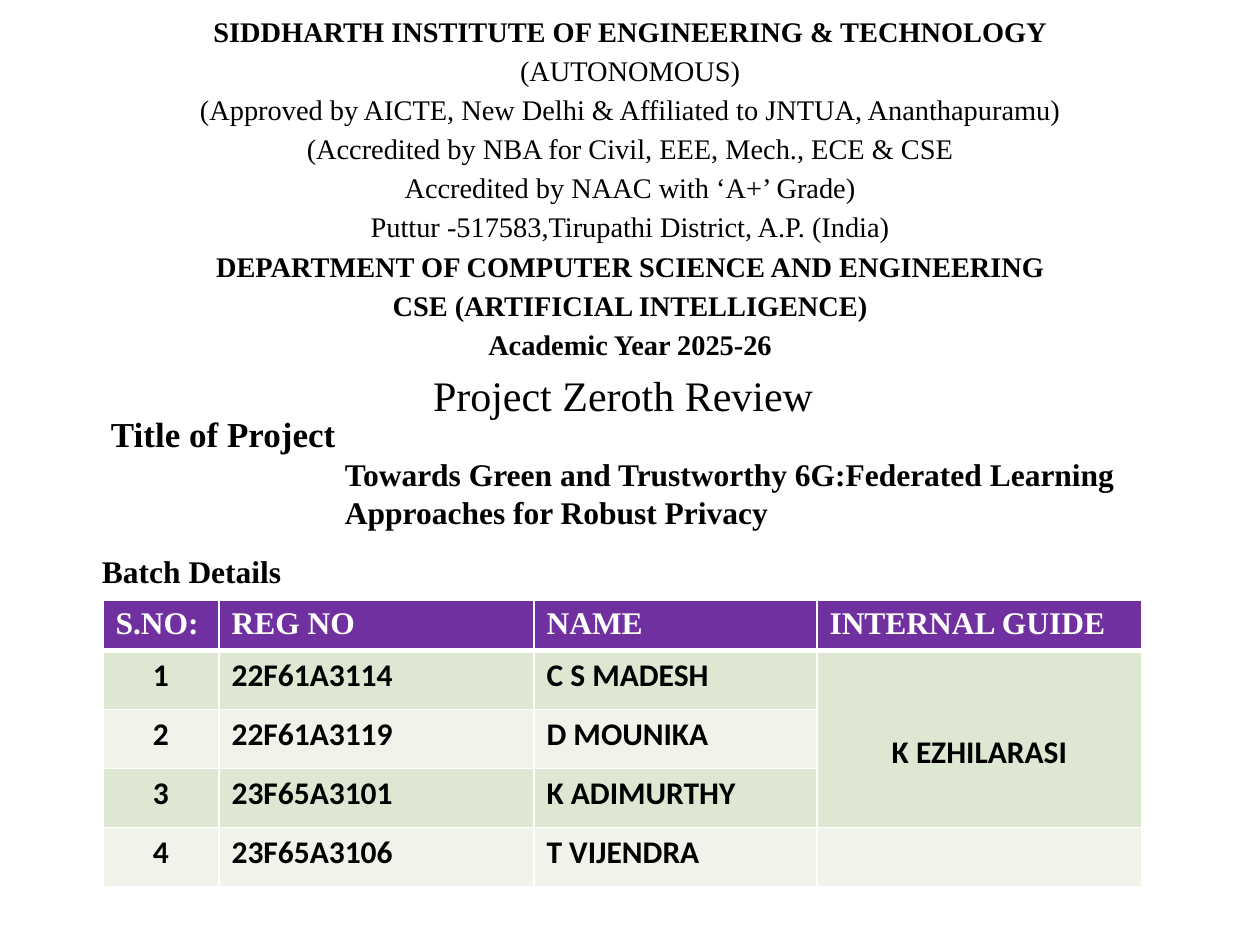
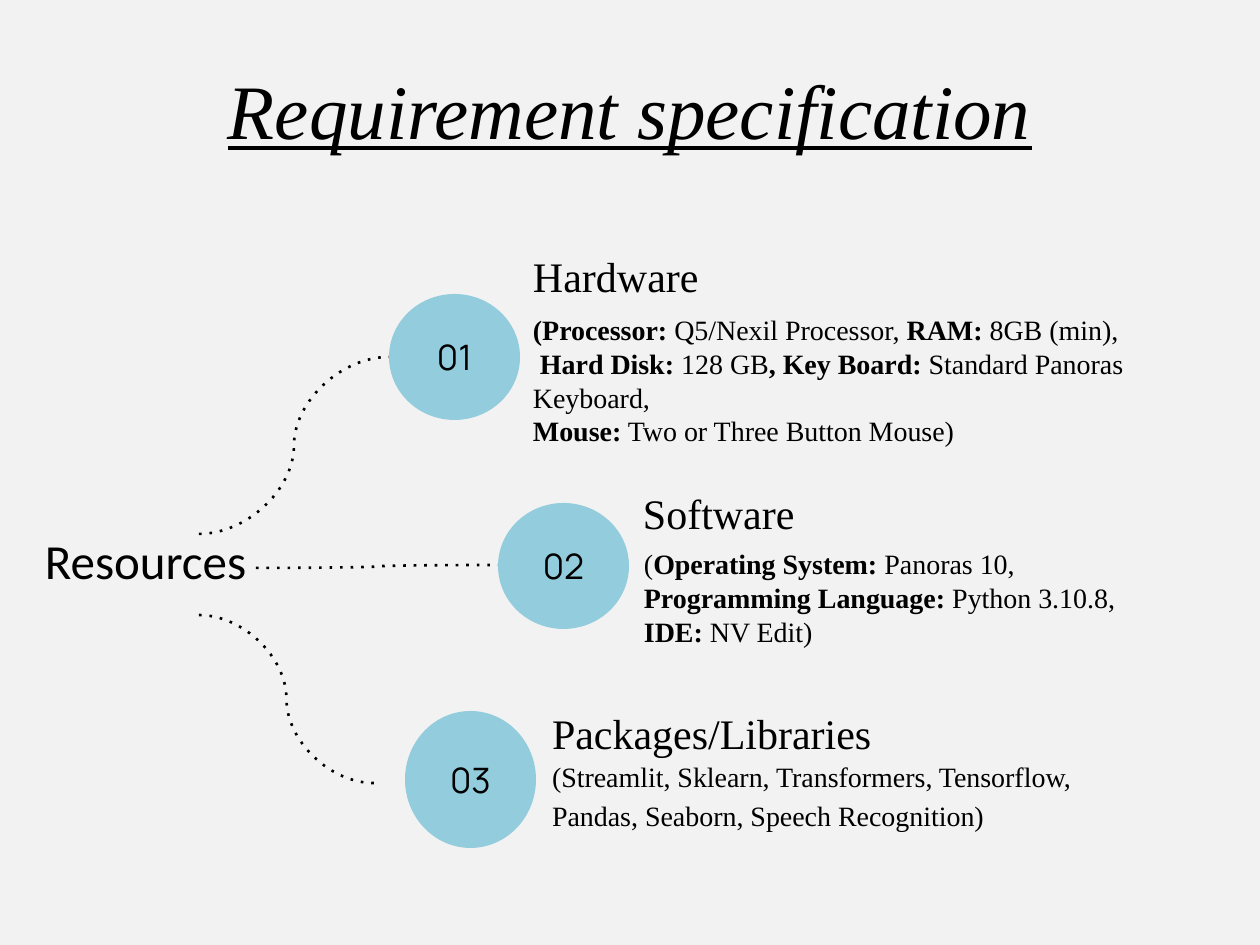
"""Builds a project review cover and its requirement specification slide."""
from lxml import etree
from pptx import Presentation
from pptx import util as u
from pptx.dml.color import RGBColor
from pptx.enum import shapes, text
from pptx.oxml.ns import qn

COLORS = {
    "ink": "000000", "paper": "FFFFFF", "mist": "F2F2F2", "purple": "7030A0",
    "sage": "DEE7D1", "pale_sage": "EFF3EA", "sky": "93CDDD",
}
SERIF, SANS, NUMERAL = "Times New Roman", "Calibri", "Manrope"
PX = u.Inches(1) / 126
INSET = 13

# Asterisks enclose bold words.
INSTITUTE = [
    "*SIDDHARTH INSTITUTE OF ENGINEERING & TECHNOLOGY*",
    "(AUTONOMOUS)",
    "(Approved by AICTE, New Delhi & Affiliated to JNTUA, Ananthapuramu)",
    "(Accredited by NBA for Civil, EEE, Mech., ECE & CSE",
    "Accredited by NAAC with ‘A+’ Grade)",
    "Puttur -517583,Tirupathi District, A.P. (India)",
    "*DEPARTMENT OF COMPUTER SCIENCE AND ENGINEERING*",
    "*CSE (ARTIFICIAL INTELLIGENCE)*",
    "*Academic Year 2025-26*",
]
REVIEW = "Project Zeroth Review"
PROJECT_LABEL = "*Title of Project*"
PROJECT = "*Towards Green and Trustworthy 6G:Federated Learning Approaches for Robust Privacy*"
BATCH_LABEL = "*Batch Details*"
BATCH = [
    ("S.NO:", "REG NO", "NAME", "INTERNAL GUIDE"),
    ("1", "22F61A3114", "C S MADESH", "K EZHILARASI"),
    ("2", "22F61A3119", "D MOUNIKA", ""),
    ("3", "23F65A3101", "K ADIMURTHY", ""),
    ("4", "23F65A3106", "T VIJENDRA", ""),
]
BATCH_COLUMNS = (116, 315, 283, 325)
BATCH_ROWS = (42, 59, 59, 59, 59)

REQUIREMENTS = [
    {"heading": "Hardware", "circle": (389, 294, 131, 126),
     "heading_at": (520, 199, 519, 115), "details_at": (520, 300, 693, 53), "spacing": None,
     "details": ["*(Processor: *Q5/Nexil Processor, *RAM:* 8GB (min),",
                 " *Hard Disk: *128 GB*, Key Board:* Standard Panoras Keyboard,",
                 "*Mouse:* Two or Three Button Mouse)"]},
    {"heading": "Software", "circle": (498, 503, 131, 126),
     "heading_at": (630, 444, 514, 107), "details_at": (631, 534, 561, 53), "spacing": None,
     "details": ["(*Operating System: *Panoras 10,",
                 "*Programming Language: *Python 3.10.8,",
                 "*IDE: *NV Edit)"]},
    {"heading": "Packages/Libraries", "circle": (405, 711, 131, 137),
     "heading_at": (539, 699, 471, 72), "details_at": (539, 742, 624, 83), "spacing": 1.15,
     "details": ["(Streamlit, Sklearn, Transformers, Tensorflow, "
                 "Pandas, Seaborn, Speech Recognition)"]},
]
BRANCHES = [(199, 534, 389, 357), (256, 568, 498, 565), (199, 615, 374, 783)]


def px(*lengths):
    return [u.Emu(round(length * PX)) for length in lengths]


def rgb(name):
    return RGBColor.from_string(COLORS[name])


def write(frame, lines, size, font=SERIF, color="ink", align=None, spacing=None):
    for index, line in enumerate(lines):
        paragraph = frame.add_paragraph() if index else frame.paragraphs[0]
        paragraph.alignment = align
        paragraph.line_spacing = spacing
        paragraph.font.size = u.Pt(size)
        paragraph.font.name = font
        paragraph.font.color.rgb = rgb(color)
        for part, words in enumerate(line.split("*")):
            if words:
                run = paragraph.add_run()
                run.text = words
                run.font.bold = part % 2 == 1


def set_insets(frame, sides, ends):
    frame.margin_left, frame.margin_right, frame.margin_top, frame.margin_bottom = px(
        sides, sides, ends, ends)


def add_text(slide, place, lines, size, ends=6, anchor=text.MSO_ANCHOR.TOP, **style):
    frame = slide.shapes.add_textbox(*px(*place)).text_frame
    frame.word_wrap = True
    frame.vertical_anchor = anchor
    set_insets(frame, INSET, ends)
    write(frame, lines, size, **style)
    return frame


def add_slide(deck, background, title_at, title_lines, size, spacing=None):
    slide = deck.slides.add_slide(deck.slide_layouts[5])
    slide.background.fill.solid()
    slide.background.fill.fore_color.rgb = rgb(background)
    title = slide.shapes.title
    title.left, title.top, title.width, title.height = px(*title_at)
    frame = title.text_frame
    frame.auto_size = text.MSO_AUTO_SIZE.NONE
    frame.vertical_anchor = text.MSO_ANCHOR.MIDDLE
    set_insets(frame, INSET, 0)
    write(frame, title_lines, size, align=text.PP_ALIGN.CENTER, spacing=spacing)
    return slide


def add_border(cell, side, points):
    properties = cell._tc.get_or_add_tcPr()
    edge = etree.Element(qn(f"a:ln{side}"), w=str(u.Pt(points)))
    fill = etree.SubElement(edge, qn("a:solidFill"))
    etree.SubElement(fill, qn("a:srgbClr"), val=COLORS["paper"])
    properties.insert("LRTB".index(side), edge)


def add_batch(slide):
    place = (103, 600, sum(BATCH_COLUMNS), sum(BATCH_ROWS))
    batch = slide.shapes.add_table(len(BATCH), len(BATCH[0]), *px(*place)).table
    for column, width in zip(batch.columns, px(*BATCH_COLUMNS)):
        column.width = width
    for row, height in zip(batch.rows, px(*BATCH_ROWS)):
        row.height = height
    for r, values in enumerate(BATCH):
        fill = "purple" if r == 0 else ("pale_sage", "sage")[r % 2]
        for c, value in enumerate(values):
            cell = batch.cell(r, c)
            cell.fill.solid()
            cell.fill.fore_color.rgb = rgb(fill)
            for side in "LRTB":
                heavy = (r, side) in ((0, "B"), (1, "T"))
                add_border(cell, side, 3 if heavy else 1)
            if value:
                centred = r > 0 and c in (0, 3)
                write(cell.text_frame, [f"*{value}*"], 18,
                      font=SANS if r else SERIF, color="ink" if r else "paper",
                      align=text.PP_ALIGN.CENTER if centred else None)
    guide = batch.cell(1, 3)
    guide.merge(batch.cell(3, 3))
    guide.margin_top = px(83)[0]


def add_circle(slide, place, number):
    circle = slide.shapes.add_shape(shapes.MSO_SHAPE.OVAL, *px(*place))
    circle.shadow.inherit = False
    circle.fill.solid()
    circle.fill.fore_color.rgb = rgb("sky")
    circle.line.fill.background()
    set_insets(circle.text_frame, INSET, INSET)
    circle.text_frame.vertical_anchor = text.MSO_ANCHOR.MIDDLE
    write(circle.text_frame, [f"{number:02}"], 20, font=NUMERAL, align=text.PP_ALIGN.CENTER)


def add_branch(slide, ends):
    branch = slide.shapes.add_connector(shapes.MSO_CONNECTOR.CURVE, *px(*ends))
    branch.line.color.rgb = rgb("ink")
    branch.line.width = u.Pt(1.5)
    properties = branch._element.spPr
    etree.SubElement(properties.find(qn("a:ln")), qn("a:prstDash"), val="dot")
    etree.SubElement(properties, qn("a:effectLst"))


def build_cover(deck):
    cover = add_slide(deck, "paper", (63, 9, 1134, 352), INSTITUTE, 16.2, spacing=1.15)
    add_text(cover, (89, 546, 299, 50), [BATCH_LABEL], 18)
    add_text(cover, (420, 364, 409, 63), [REVIEW], 24)
    project = add_text(cover, (98, 407, 1094, 136), [PROJECT_LABEL], 20)
    name = project.add_paragraph()
    name._p.get_or_add_pPr().set("marL", str(px(234)[0]))
    name.font.size = u.Pt(18)
    name.font.name = SERIF
    name.font.bold = True
    name.font.color.rgb = rgb("ink")
    name.add_run().text = PROJECT.strip("*")
    add_batch(cover)


def build_requirements(deck):
    slide = add_slide(deck, "mist", (63, 30, 1134, 158), ["Requirement specification"], 44)
    heading = slide.shapes.title.text_frame.paragraphs[0]
    heading.font.italic = True
    heading.font.underline = True
    for number, need in enumerate(REQUIREMENTS, 1):
        add_circle(slide, need["circle"], number)
        add_text(slide, need["heading_at"], [need["heading"]], 24, ends=INSET,
                 anchor=text.MSO_ANCHOR.BOTTOM, spacing=1.15)
        add_text(slide, need["details_at"], need["details"], 16, ends=INSET,
                 spacing=need["spacing"])
    for ends in BRANCHES:
        add_branch(slide, ends)
    add_text(slide, (32, 525, 273, 72), ["Resources"], 28, font=SANS)


def main():
    deck = Presentation()
    deck.slide_width, deck.slide_height = px(1260, 945)
    build_cover(deck)
    build_requirements(deck)
    deck.save("out.pptx")


if __name__ == "__main__":
    main()
